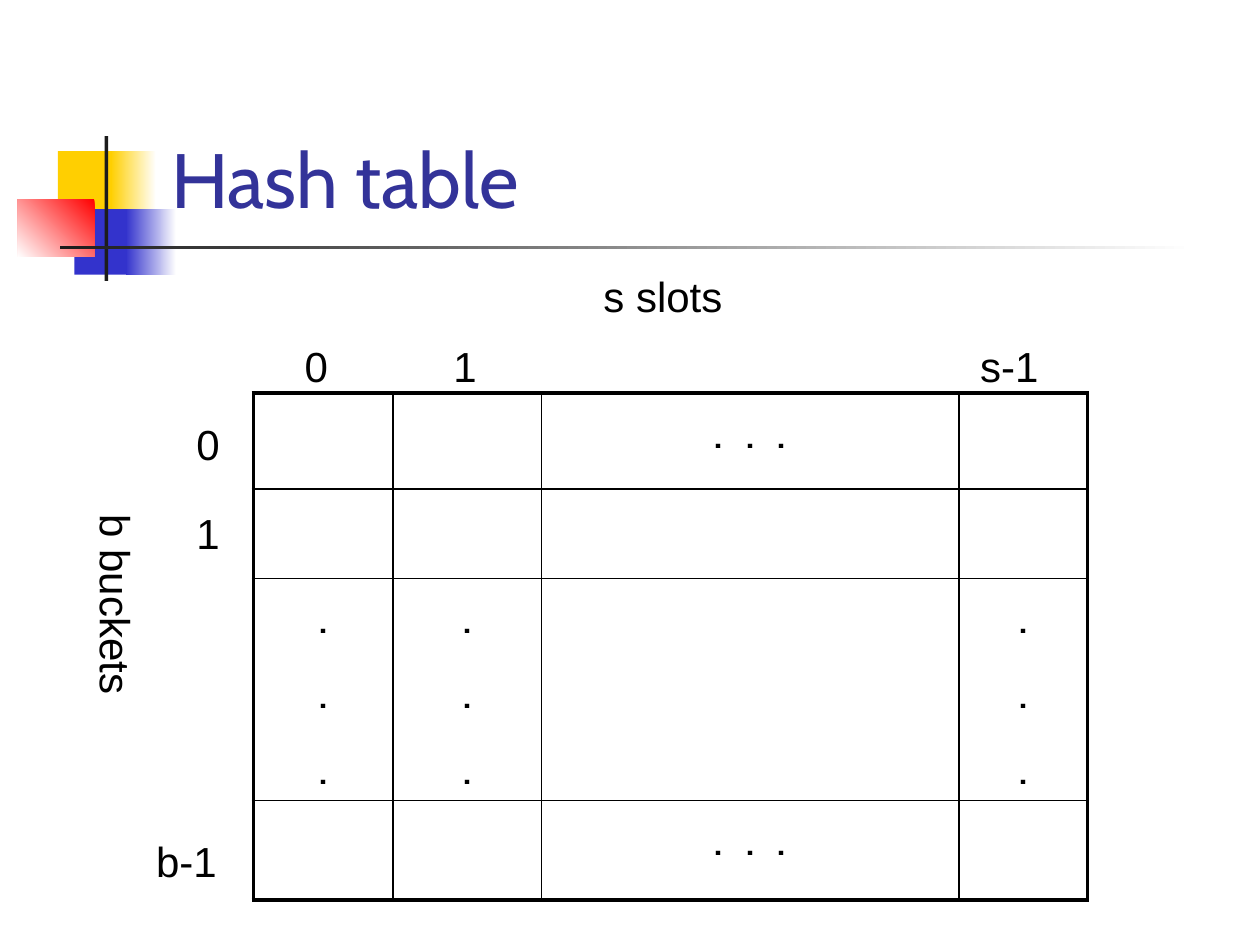
from lxml import etree
from pptx import Presentation
from pptx.dml.color import RGBColor
from pptx.enum.shapes import MSO_SHAPE
from pptx.enum.text import MSO_ANCHOR, MSO_AUTO_SIZE, PP_ALIGN
from pptx.oxml.ns import qn
from pptx.util import Inches, Pt

COLORS = {
    "white": "FFFFFF", "black": "000000", "yellow": "FFCF01", "blue": "3333CC",
    "red": "FF0000", "dark": "1C1C1C", "title": "333399",
}


def add_text(tf, lines, font, size, color, **paragraph_format):
    """Write the lines as paragraphs and return the runs."""
    runs = []
    for i, line in enumerate(lines):
        p = tf.paragraphs[0] if i == 0 else tf.add_paragraph()
        for name, value in paragraph_format.items():
            if i or name != "space_before":
                setattr(p, name, value)
        r = p.add_run()
        r.text = line
        r.font.name, r.font.size = font, Pt(size)
        r.font.color.rgb = RGBColor.from_string(COLORS[color])
        runs.append(r)
    return runs


def add_border(cell, side, width):
    ln = etree.SubElement(cell._tc.get_or_add_tcPr(), qn(f"a:ln{side}"), w=str(Pt(width)))
    fill = etree.SubElement(ln, qn("a:solidFill"))
    etree.SubElement(fill, qn("a:srgbClr"), val=COLORS["black"])


prs = Presentation()
prs.slide_width, prs.slide_height = Inches(10), Inches(7.5)
s = prs.slides.add_slide(prs.slide_layouts[6])

# Decoration: left, top, width, height, colours, gradient angle (counter-clockwise)
decoration = [
    (0.46, 1.2, 0.48, 0.52, ["yellow"], None),
    (0.88, 1.2, 0.36, 0.52, ["white", "yellow"], 180),
    (0.59, 1.66, 0.46, 0.52, ["blue"], None),
    (1, 1.66, 0.4, 0.52, ["white", "blue"], 180),
    (0.14, 1.58, 0.61, 0.46, ["red", "white"], 225),
    (0.83, 1.08, 0.03, 1.15, ["dark"], None),
    (0.48, 1.95, 9, 0.03, ["white", "dark"], 180),
]
for x, y, w, h, colors, angle in decoration:
    sp = s.shapes.add_shape(MSO_SHAPE.RECTANGLE, Inches(x), Inches(y), Inches(w), Inches(h))
    sp.shadow.inherit = False
    sp.line.fill.background()
    if angle is None:
        sp.fill.solid()
        sp.fill.fore_color.rgb = RGBColor.from_string(COLORS[colors[0]])
    else:
        sp.fill.gradient()
        sp.fill.gradient_angle = angle
        for position, (stop, color) in enumerate(zip(sp.fill.gradient_stops, colors)):
            stop.position = position
            stop.color.rgb = RGBColor.from_string(COLORS[color])

# Title
tf = s.shapes.add_textbox(Inches(1.26), Inches(0.23), Inches(8.52), Inches(1.6)).text_frame
tf.word_wrap = True
tf.vertical_anchor = MSO_ANCHOR.BOTTOM
add_text(tf, ["Hash table"], "Cabin", 44, "title", line_spacing=1.03)

# Hash table grid: thick outline, thin inner lines
cols = [1.11, 1.18, 3.31, 1.02]
rows = [0.76, 0.71, 1.76, 0.79]
table = s.shapes.add_table(len(rows), len(cols), Inches(2.01), Inches(3.12),
                           Inches(sum(cols)), Inches(sum(rows))).table
table.first_row = table.horz_banding = False
for column, width in zip(table.columns, cols):
    column.width = Inches(width)
for row, height in zip(table.rows, rows):
    row.height = Inches(height)

across, down = [". . ."], ["."] * 3
dots = {(0, 2): across, (3, 2): across, (2, 0): down, (2, 1): down, (2, 3): down}
for i in range(len(rows)):
    for j in range(len(cols)):
        cell = table.cell(i, j)
        outer = {"L": j == 0, "R": j == len(cols) - 1, "T": i == 0, "B": i == len(rows) - 1}
        for side, is_outer in outer.items():
            add_border(cell, side, 2.25 if is_outer else 1)
        cell.fill.background()
        lines = dots.get((i, j), [])
        runs = add_text(cell.text_frame, lines, "Cabin", 28, "black",
                        alignment=PP_ALIGN.CENTER, line_spacing=1.03, space_before=Pt(8))
        if lines is across:
            runs[0].font._element.set("spc", "300")

# Labels: text, left, top, width, rotation
labels = [
    ("b buckets", -0.06, 4.8, 2.05, 90),
    ("0", 1.46, 3.27, 0.39, 0),
    ("1", 1.46, 3.98, 0.39, 0),
    ("b-1", 1.14, 6.58, 0.87, 0),
    ("0", 2.32, 2.65, 0.39, 0),
    ("1", 3.5, 2.65, 0.39, 0),
    ("s-1", 7.68, 2.65, 0.87, 0),
    ("s slots", 4.69, 2.1, 1.65, 0),
]
for text, x, y, w, rotation in labels:
    sp = s.shapes.add_textbox(Inches(x), Inches(y), Inches(w), Inches(0.42))
    sp.rotation = rotation
    tf = sp.text_frame
    tf.word_wrap = True
    tf.auto_size = MSO_AUTO_SIZE.SHAPE_TO_FIT_TEXT
    add_text(tf, [text], "Arial", 24, "black")

prs.save("out.pptx")
